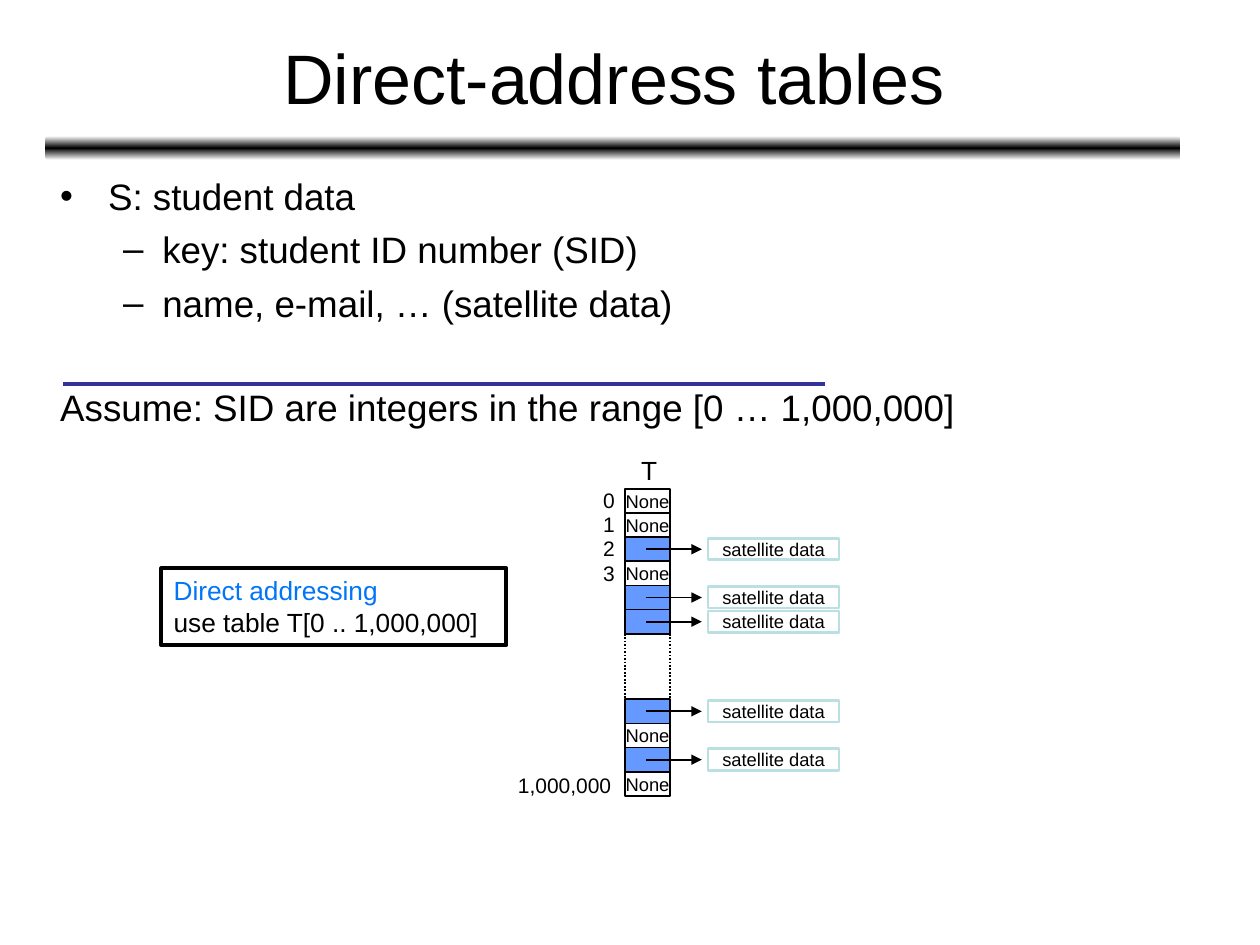
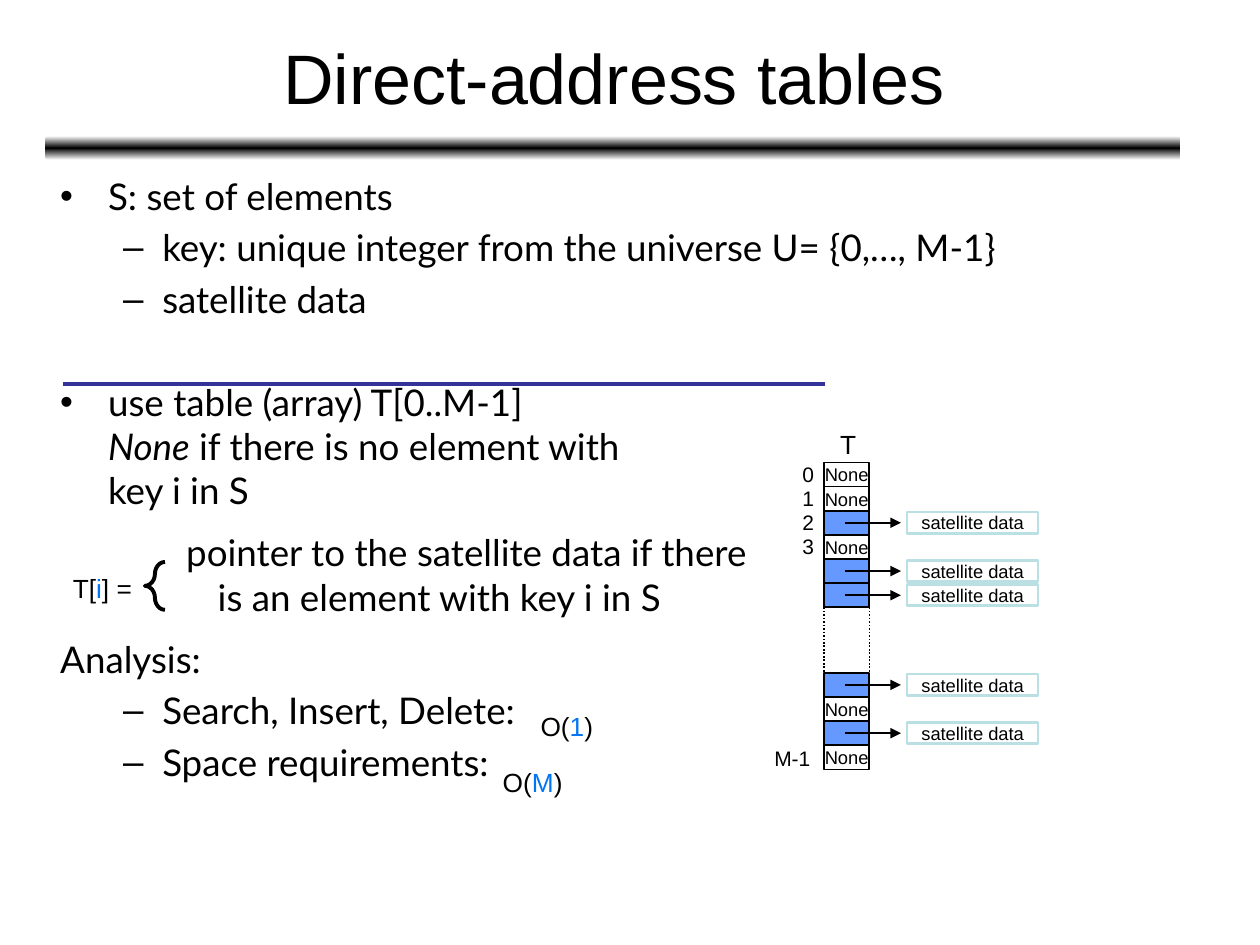
from dataclasses import dataclass

from lxml import etree
from pptx import Presentation
from pptx.dml.color import RGBColor
from pptx.enum.dml import MSO_LINE
from pptx.enum.shapes import MSO_CONNECTOR, MSO_SHAPE
from pptx.enum.text import MSO_ANCHOR, PP_ALIGN
from pptx.oxml import parse_xml
from pptx.oxml.ns import nsdecls, qn
from pptx.util import Inches, Pt

LEFT, CENTER, RIGHT = PP_ALIGN.LEFT, PP_ALIGN.CENTER, PP_ALIGN.RIGHT
TOP, MIDDLE = MSO_ANCHOR.TOP, MSO_ANCHOR.MIDDLE
RECTANGLE, ROUNDED, BRACE = MSO_SHAPE.RECTANGLE, MSO_SHAPE.ROUNDED_RECTANGLE, MSO_SHAPE.LEFT_BRACE
STRAIGHT = MSO_CONNECTOR.STRAIGHT
DOTTED = MSO_LINE.ROUND_DOT


@dataclass(frozen=True)
class Theme:
    ink: str = "000000"
    paper: str = "FFFFFF"
    accent: str = "0075F6"
    slot: str = "6699FF"
    record: str = "BBE0E3"
    rule: str = "333399"
    font: str = "Arial"
    title: float = 40
    body: float = 21
    note: float = 15
    index: float = 12
    cell: float = 10.5
    thin: float = 1
    medium: float = 1.5
    thick: float = 2.25


theme = Theme()
presentation = Presentation()
presentation.slide_width, presentation.slide_height = Inches(10), Inches(7.5)
UNIT = presentation.slide_width / 100  # the grid has 100 columns and 75 rows


def add_box(slide, box, paragraphs=(), size=theme.note, font=theme.font, fill=None, line=None,
            width=theme.thin, align=LEFT, anchor=TOP, inset=(1, 0.5), wrap=True):
    """Add a text box, or a rectangle if filled or outlined; each paragraph is a list of (text, style)."""
    area = [round(value * UNIT) for value in box]
    if fill or line:
        shape = slide.shapes.add_shape(RECTANGLE, *area)
        shape.shadow.inherit = False
        shape.line.color.rgb = RGBColor.from_string(line)
        shape.line.width = Pt(width)
        if fill:
            shape.fill.solid()
            shape.fill.fore_color.rgb = RGBColor.from_string(fill)
        else:
            shape.fill.background()
    else:
        shape = slide.shapes.add_textbox(*area)
    frame = shape.text_frame
    frame.word_wrap, frame.vertical_anchor = wrap, anchor
    frame.margin_left = frame.margin_right = round(inset[0] * UNIT)
    frame.margin_top = frame.margin_bottom = round(inset[1] * UNIT)
    for number, runs in enumerate(paragraphs):
        paragraph = frame.add_paragraph() if number else frame.paragraphs[0]
        paragraph.alignment = align
        for text, style in runs:
            for line_number, part in enumerate(text.split("\n")):
                if line_number:
                    paragraph.add_line_break()
                if part:
                    run = paragraph.add_run()
                    run.text = part
                    run.font.name, run.font.size = font, Pt(size)
                    run.font.italic = style == "italic"
                    color = theme.accent if style == "accent" else theme.ink
                    run.font.color.rgb = RGBColor.from_string(color)
    return shape


def add_line(slide, start, end, color=theme.ink, width=theme.thin, arrow=False):
    points = [round(value * UNIT) for value in (*start, *end)]
    connector = slide.shapes.add_connector(STRAIGHT, *points)
    connector.line.color.rgb = RGBColor.from_string(color)
    connector.line.width = Pt(width)
    if arrow:
        etree.SubElement(connector.line._get_or_add_ln(), qn("a:tailEnd"), type="triangle")
    etree.SubElement(connector.element.spPr, qn("a:effectLst"))
    return connector


# Body levels: left margin and first-line indent in columns, bullet
LEVELS = {
    "bullet": (3.8, -3.8, "•"),
    "dash": (8.1, -3.1, "–"),
    "plain": (3.8, -3.8, None),
    "deep": (12.5, -2.5, None),
}

# Body paragraphs: level, space before in points, runs
STUDENT_BODY = [
    ("bullet", 2, [("S: student data", "")]),
    ("dash", 5.25, [("key: student ID number (SID)", "")]),
    ("dash", 5.25, [("name, e-mail, … (satellite data)", "")]),
    ("plain", 34.6, [("Assume: SID are integers in the range [0 … 1,000,000]", "")]),
]
ELEMENT_BODY = [
    ("bullet", 0, [("S: set of elements", "")]),
    ("dash", 4.2, [("key: unique integer from the universe U= {0,…, M-1}", "")]),
    ("dash", 4.2, [("satellite data", "")]),
    ("bullet", 33.6, [("use table (array) T[0..M-1]\n", ""), ("None", "italic"),
                      (" if there is no element with\nkey i in S", "")]),
    ("deep", 10.5, [("pointer to the satellite data if there\nis an element with key i in S", "")]),
    ("plain", 10.5, [("Analysis:", "")]),
    ("dash", 4.2, [("Search, Insert, Delete:", "")]),
    ("dash", 4.2, [("Space requirements:", "")]),
]

# Slides: body font, body paragraphs, left and top of table T, last index
SLIDES = [
    ("Arial", STUDENT_BODY, 49.6, 38.8, "1,000,000"),
    ("Lato", ELEMENT_BODY, 65.4, 36.7, "M-1"),
]

# Table T: True marks a slot that points to satellite data
UPPER_SLOTS = [False, False, True, False, True, True]
LOWER_SLOTS = [True, False, True, False]
SLOT_WIDTH, SLOT_HEIGHT, BREAK_HEIGHT = 3.6, 11.5 / 6, 5.2
INDEXES = 4

BAND_FILL = f"""<a:gradFill {nsdecls("a")}><a:gsLst>
<a:gs pos="0"><a:srgbClr val="{theme.paper}"/></a:gs>
<a:gs pos="50000"><a:srgbClr val="{theme.ink}"/></a:gs>
<a:gs pos="100000"><a:srgbClr val="{theme.paper}"/></a:gs>
</a:gsLst><a:lin ang="5400000" scaled="0"/></a:gradFill>"""

slides = []
for body_font, body, table_left, table_top, last_index in SLIDES:
    slide = presentation.slides.add_slide(presentation.slide_layouts[6])
    slides.append(slide)

    band = slide.shapes.add_shape(ROUNDED, *[round(value * UNIT) for value in (3.6, 10.8, 90.1, 1.9)])
    band.shadow.inherit = False
    band.line.fill.background()
    band.element.spPr.insert(2, parse_xml(BAND_FILL))

    body_box = add_box(slide, (3.8, 13.3, 93, 55.5), [runs for _, _, runs in body],
                       theme.body, body_font)
    for paragraph, (level, space, _) in zip(body_box.text_frame.paragraphs, body):
        margin, indent, bullet = LEVELS[level]
        paragraph.space_before = Pt(space)
        properties = paragraph._p.get_or_add_pPr()
        properties.set("marL", str(round(margin * UNIT)))
        properties.set("indent", str(round(indent * UNIT)))
        if bullet:
            etree.SubElement(properties, qn("a:buFont"), typeface=theme.font)
            etree.SubElement(properties, qn("a:buChar"), char=bullet)

    add_box(slide, (3.7, 1.1, 90, 9.9), [[("Direct-address tables", "")]], theme.title,
            align=CENTER, anchor=MIDDLE)
    add_line(slide, (5, 30.5), (65.5, 30.5), theme.rule, theme.thick)

    break_top = table_top + len(UPPER_SLOTS) * SLOT_HEIGHT
    break_bottom = break_top + BREAK_HEIGHT
    upper = [(table_top + row * SLOT_HEIGHT, used) for row, used in enumerate(UPPER_SLOTS)]
    lower = [(break_bottom + row * SLOT_HEIGHT, used) for row, used in enumerate(LOWER_SLOTS)]
    for slot_top, used in upper + lower:
        add_box(slide, (table_left, slot_top, SLOT_WIDTH, SLOT_HEIGHT),
                [] if used else [[("None", "")]], theme.cell, line=theme.ink,
                fill=theme.slot if used else None, align=CENTER, anchor=MIDDLE,
                inset=(0, 0), wrap=False)
        if used:
            arrow_row = slot_top + SLOT_HEIGHT / 2
            add_line(slide, (table_left + 1.7, arrow_row), (table_left + 6.1, arrow_row), arrow=True)
            add_box(slide, (table_left + 6.6, slot_top + 0.1, 10.4, 1.7),
                    [[("satellite data", "")]], theme.cell, fill=theme.paper, line=theme.record,
                    width=theme.medium, align=CENTER, anchor=MIDDLE, inset=(0, 0), wrap=False)
    for side in (table_left, table_left + SLOT_WIDTH):
        add_line(slide, (side, break_top), (side, break_bottom)).line.dash_style = DOTTED

    add_box(slide, (table_left + 0.3, table_top - 3.2, 2.9, 3.5), [[("T", "")]])
    for index in range(INDEXES):
        add_box(slide, (table_left - 3.5, table_top - 0.5 + index * SLOT_HEIGHT, 3.4, 2.8),
                [[(str(index), "")]], theme.index, align=RIGHT, inset=(0.7, 0.4))
    add_box(slide, (table_left - 10, table_top + 22, 9.9, 3), [[(last_index, "")]],
            theme.index, align=RIGHT)

student_slide, element_slide = slides
add_box(student_slide, (12.8, 45.1, 27.4, 6.1),
        [[("Direct addressing\n", "accent"), ("use table T[0 .. 1,000,000]", "")]],
        fill=theme.paper, line=theme.ink, width=theme.thick)

add_box(element_slide, (4.8, 44.9, 7.6, 3.5), [[("T[", ""), ("i", "accent"), ("] =", "")]])
brace = element_slide.shapes.add_shape(BRACE, *[round(value * UNIT) for value in (11.5, 44.6, 1.6, 3.8)])
brace.shadow.inherit = False
brace.adjustments[0] = 0.6
brace.fill.background()
brace.line.color.rgb = RGBColor.from_string(theme.ink)
brace.line.width = Pt(theme.thick)
for cost, cost_left, cost_top in [("1", 42.2, 56), ("M", 39.2, 60.4)]:
    add_box(element_slide, (cost_left, cost_top, 7.3, 3.3),
            [[("O(", ""), (cost, "accent"), (")", "")]], inset=(0.7, 0.4))

presentation.save("out.pptx")
